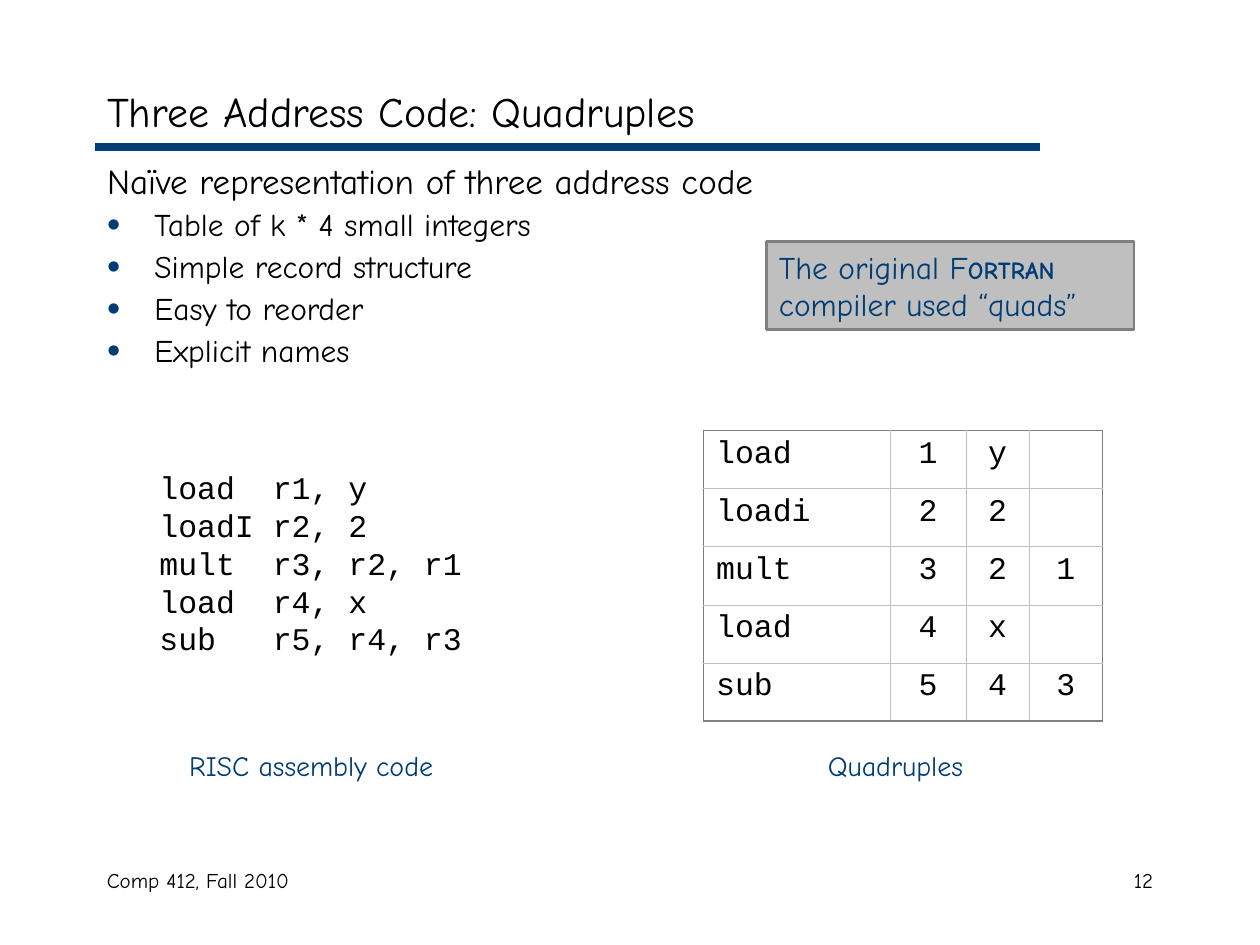
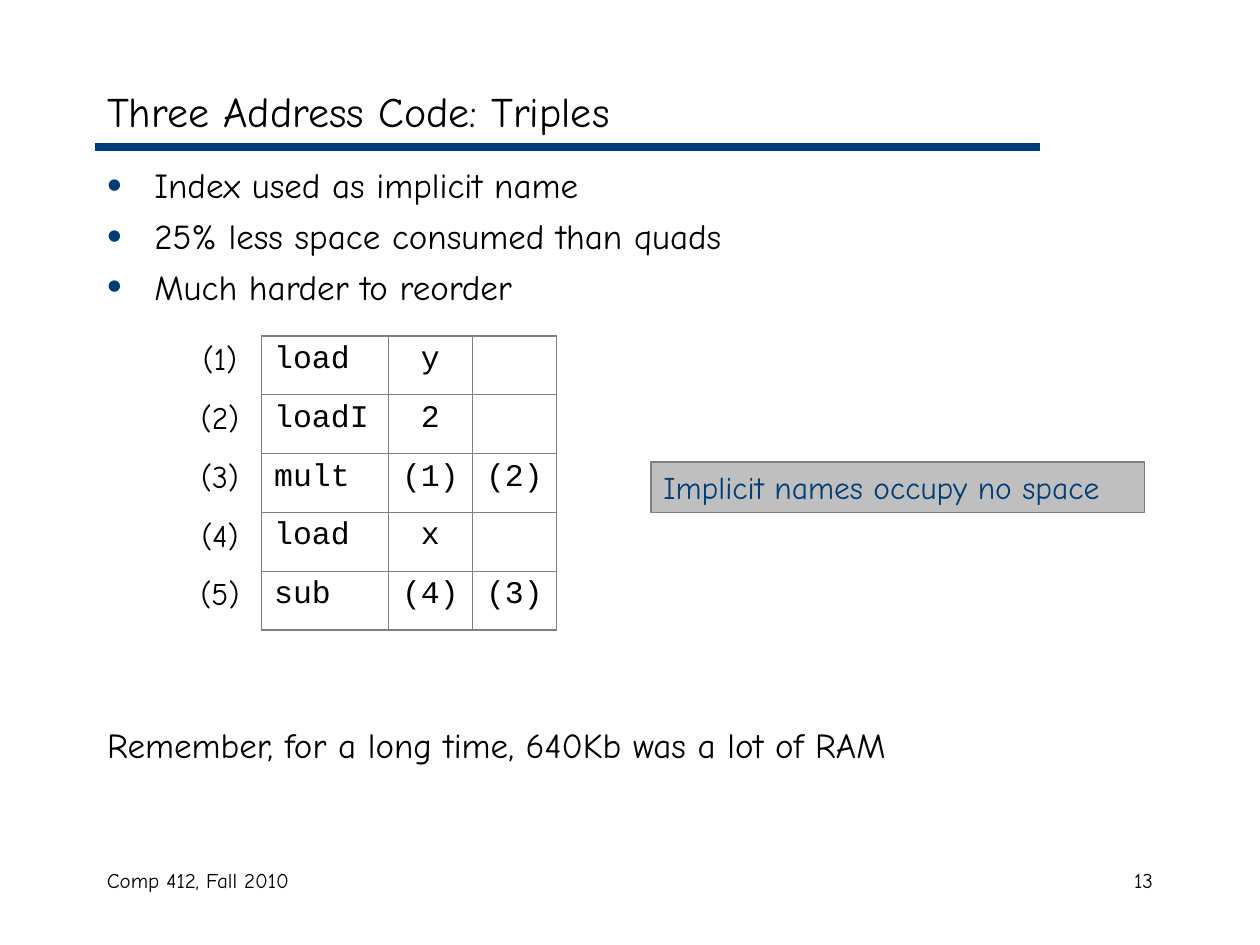
from lxml.etree import SubElement
from pptx import Presentation
from pptx.dml.color import RGBColor
from pptx.enum.shapes import MSO_CONNECTOR, MSO_SHAPE
from pptx.enum.text import MSO_ANCHOR, MSO_AUTO_SIZE, PP_ALIGN
from pptx.oxml.ns import qn
from pptx.util import Pt

NAVY, BLACK, GREY, SILVER = "003C75", "000000", "7F7F7F", "BFBFBF"
HAND, CODE = "Comic Neue", "Courier New"
LEFT, MID, RIGHT = PP_ALIGN.LEFT, PP_ALIGN.CENTER, PP_ALIGN.RIGHT


def hue(code):
    return RGBColor.from_string(code)


def write(frame, text, size, tint=BLACK, face=HAND, align=LEFT):
    frame.text = text
    for para in frame.paragraphs:
        para.alignment = align
        for run in para.runs:
            run.font.size = Pt(size)
            run.font.name = face
            run.font.color.rgb = hue(tint)


# List lines: text, size, bullet, space before
# Notes: place, line width, runs of text, size and bold
# Grids: place, row height, column widths, inner line colour, first framed column
# Boxes: text, place, size, colour, font
pages = [
    {
        "title": "Three Address Code: Quadruples",
        "number": "12",
        "depth": 146,
        "pitch": 0.9,
        "list": [
            ("Naïve representation of three address code", 20, False, 0),
            ("Table of k * 4 small integers", 18, True, 4.5),
            ("Simple record structure", 18, True, 4.5),
            ("Easy to reorder", 18, True, 4.5),
            ("Explicit names", 18, True, 4.5),
        ],
        "grid": (402, 246, 33.25, [106.5, 43.5, 36, 42], SILVER, 0),
        "cells": [
            ["load", "1", "y", ""],
            ["loadi", "2", "2", ""],
            ["mult", "3", "2", "1"],
            ["load", "4", "x", ""],
            ["sub", "5", "4", "3"],
        ],
        "boxes": [
            ("load  r1, y\nloadI r2, 2\nmult  r3, r2, r1\nload  r4, x\nsub   r5, r4, r3",
             (84, 264, 187, 115), 18, BLACK, CODE),
            ("RISC assembly code", (101, 424, 154, 27), 16, NAVY, HAND),
            ("Quadruples", (466, 424, 91.5, 27), 16, NAVY, HAND),
        ],
        "note": ((438, 138, 210, 50.5), 1.5, [
            ("The original F", 18, False),
            ("ORTRAN", 14, True),
            (" compiler used “quads”", 18, False),
        ]),
    },
    {
        "title": "Three Address Code: Triples",
        "number": "13",
        "depth": 390,
        "pitch": 1.0,
        "list": [
            ("Index used as implicit name", 20, True, 0),
            ("25% less space consumed than quads", 20, True, 5),
            ("Much harder to reorder", 20, True, 5),
            ("Remember, for a long time, 640Kb was a lot of RAM", 20, False, 238),
        ],
        "grid": (102, 192, 33.6, [47.5, 72.5, 48, 48], GREY, 1),
        "cells": [
            ["(1)", "load", "y", ""],
            ["(2)", "loadI", "2", ""],
            ["(3)", "mult", "(1)", "(2)"],
            ["(4)", "load", "x", ""],
            ["(5)", "sub", "(4)", "(3)"],
        ],
        "boxes": [],
        "note": ((372, 264, 282, 29), 0.75, [
            ("Implicit names occupy no space", 18, False),
        ]),
    },
]

deck = Presentation()
deck.slide_width, deck.slide_height = Pt(720), Pt(540)

for page in pages:
    slide = deck.slides.add_slide(deck.slide_layouts[1])
    shapes = slide.shapes

    # Title and the rule below it
    rule = shapes.add_connector(MSO_CONNECTOR.STRAIGHT, Pt(54), Pt(84), Pt(594), Pt(84))
    rule.line.color.rgb = hue(NAVY)
    rule.line.width = Pt(4.5)
    SubElement(rule._element.spPr, qn("a:effectLst"))
    title, body = shapes.title, slide.placeholders[1]
    for holder, top, tall in [(title, 42, 42), (body, 90, page["depth"])]:
        holder.left, holder.top = Pt(54), Pt(top)
        holder.width, holder.height = Pt(612), Pt(tall)
        holder.text_frame.auto_size = MSO_AUTO_SIZE.NONE
    title.text_frame.vertical_anchor = MSO_ANCHOR.MIDDLE
    write(title.text_frame, page["title"], 24)

    # List
    write(body.text_frame, "\n".join(item[0] for item in page["list"]), 20)
    for para, (_, size, dot, gap) in zip(body.text_frame.paragraphs, page["list"]):
        props = para._p.get_or_add_pPr()
        props.set("marL", str(Pt(27)))
        props.set("indent", str(Pt(-27)))
        if dot:
            SubElement(SubElement(props, qn("a:buClr")), qn("a:srgbClr"), val=NAVY)
            SubElement(props, qn("a:buSzPct"), val="120000")
            SubElement(props, qn("a:buFont"), typeface="Arial")
            SubElement(props, qn("a:buChar"), char="•")
        else:
            SubElement(props, qn("a:buNone"))
        para.line_spacing = page["pitch"]
        para.space_before = Pt(gap)
        para.runs[0].font.size = Pt(size)

    # Footer
    for text, left, wide, align in [("Comp 412, Fall 2010", 54, 228, LEFT),
                                    (page["number"], 516, 150, RIGHT)]:
        foot = shapes.add_textbox(Pt(left), Pt(492), Pt(wide), Pt(36))
        foot.text_frame.word_wrap = True
        write(foot.text_frame, text, 12, align=align)

    # Instruction table
    left, top, tall, widths, inner, first = page["grid"]
    rows, cols = len(page["cells"]), len(widths)
    table = shapes.add_table(rows, cols, Pt(left), Pt(top),
                             Pt(sum(widths)), Pt(tall * rows)).table
    table.first_row = table.horz_banding = False
    for col, wide in zip(table.columns, widths):
        col.width = Pt(wide)
    for r, row in enumerate(page["cells"]):
        table.rows[r].height = Pt(tall)
        for c, text in enumerate(row):
            cell = table.cell(r, c)
            write(cell.text_frame, text, 18, face=HAND if c < first else CODE,
                  align=LEFT if c == first else MID)
            # Heavy lines around the frame, thin ones inside, none beside it
            edges = {"lnL": c == first, "lnR": c in (first - 1, cols - 1),
                     "lnT": r == 0, "lnB": r == rows - 1}
            props = cell._tc.get_or_add_tcPr()
            for side, outer in edges.items():
                line = SubElement(props, qn("a:" + side), w=str(Pt(1.08 if outer else 0.45)))
                if c < first and side != "lnR":
                    SubElement(line, qn("a:noFill"))
                else:
                    fill = SubElement(line, qn("a:solidFill"))
                    SubElement(fill, qn("a:srgbClr"), val=GREY if outer else inner)
            cell.fill.background()

    # Code and labels
    for text, place, size, tint, face in page["boxes"]:
        box = shapes.add_textbox(*map(Pt, place))
        box.text_frame.word_wrap = False
        write(box.text_frame, text, size, tint, face)

    # Grey note
    place, thick, parts = page["note"]
    note = shapes.add_shape(MSO_SHAPE.RECTANGLE, *map(Pt, place))
    note.shadow.inherit = False
    note.fill.solid()
    note.fill.fore_color.rgb = hue(SILVER)
    note.line.color.rgb = hue(GREY)
    note.line.width = Pt(thick)
    note.text_frame.word_wrap = True
    note.text_frame.vertical_anchor = MSO_ANCHOR.TOP
    para = note.text_frame.paragraphs[0]
    para.alignment = LEFT
    for text, size, bold in parts:
        run = para.add_run()
        run.text = text
        run.font.size, run.font.bold, run.font.name = Pt(size), bold, HAND
        run.font.color.rgb = hue(NAVY)

deck.save("out.pptx")
